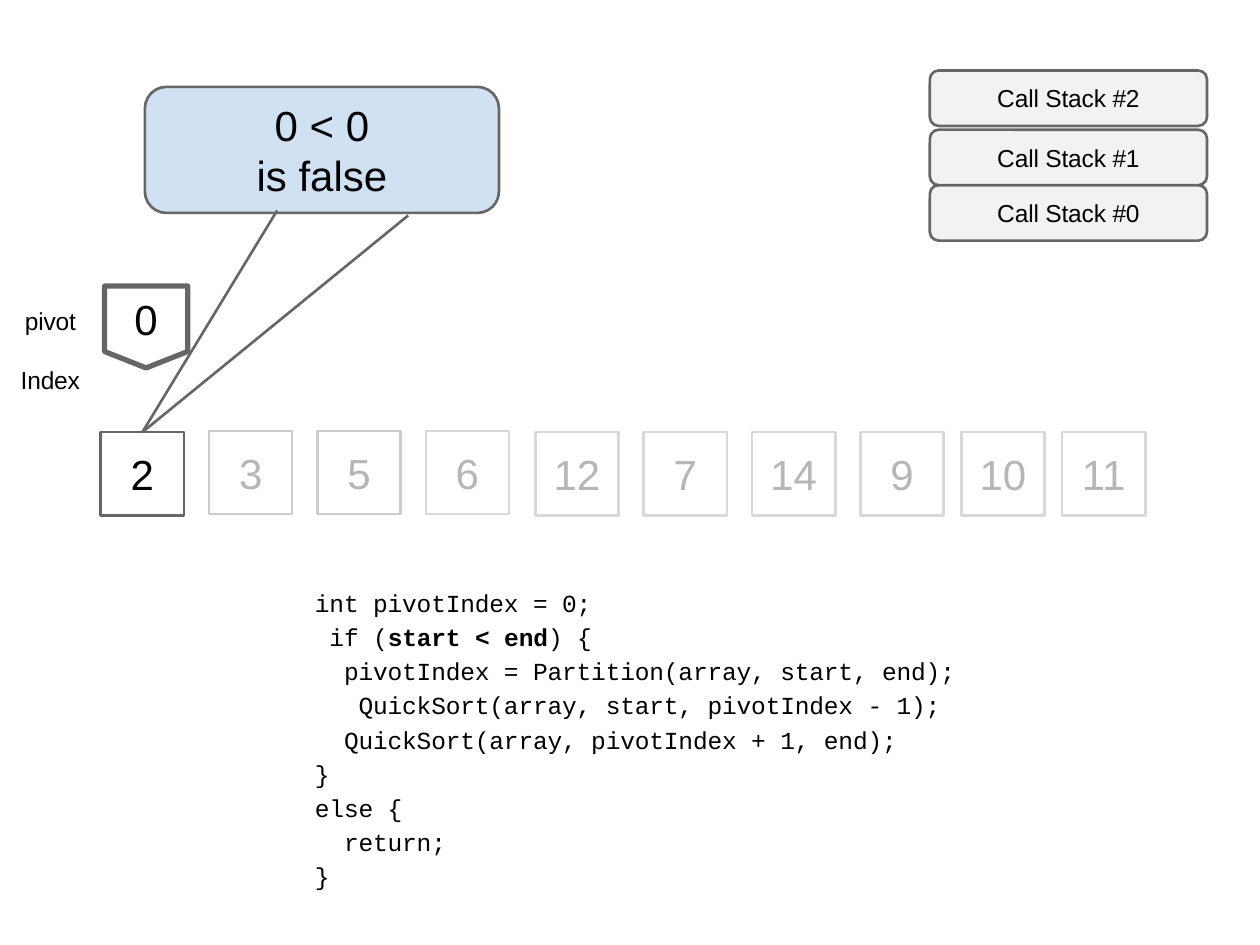
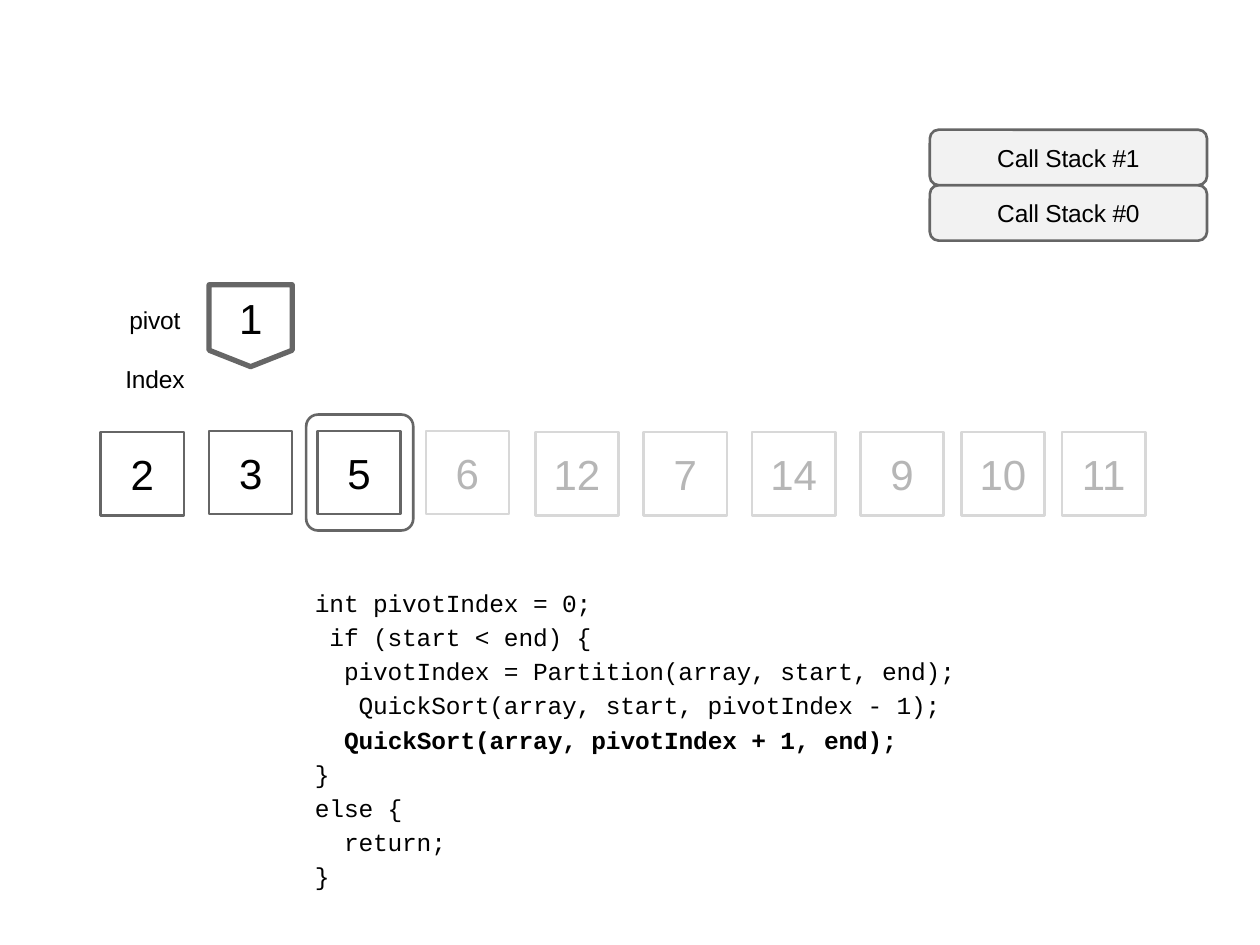
"""Build two slides that step through a recursive quicksort."""
from dataclasses import dataclass

from lxml.etree import SubElement
from pptx import Presentation
from pptx.dml.color import RGBColor
from pptx.enum.shapes import MSO_CONNECTOR, MSO_SHAPE
from pptx.enum.text import MSO_ANCHOR, PP_ALIGN
from pptx.oxml.ns import qn
from pptx.util import Pt

PX = 9144
COLORS = {
    "ink": "000000", "edge": "666666", "muted": "B6B6B6", "soft": "CCCCCC",
    "faint": "D8D8D8", "stack": "F2F2F2", "callout": "CFE1F2",
}
VALUES = [2, 3, 5, 6, 12, 7, 14, 9, 10, 11]
CELL = 66
STACK_TOPS = [147, 103, 56]
CODE = """int pivotIndex = 0;
 if (start < end) {
  pivotIndex = Partition(array, start, end);
   QuickSort(array, start, pivotIndex - 1);
  QuickSort(array, pivotIndex + 1, end);
}
else {
  return;
}"""


@dataclass
class Box:
    x: int
    y: int
    w: int
    h: int

    def emu(self) -> list[int]:
        return [v * PX for v in (self.x, self.y, self.w, self.h)]


@dataclass
class Step:
    active: int
    calls: int
    pivot: int
    pivot_x: int
    pivot_y: int
    bold: str
    callout: str = ""
    frame: Box | None = None


STEPS = [
    Step(1, 3, 0, 83, 227, "start < end", callout="0 < 0\nis false"),
    Step(3, 2, 1, 166, 226, "QuickSort(array, pivotIndex + 1, end);",
         frame=Box(243, 329, 85, 92)),
]


def rgb(name: str) -> RGBColor:
    return RGBColor.from_string(COLORS[name])


def write(tf, text: str, size=14, color="ink", font="Arial", bold="",
          align=PP_ALIGN.CENTER, anchor=MSO_ANCHOR.MIDDLE, leading=None,
          gap=0, spacing=0) -> None:
    tf.margin_left = tf.margin_right = tf.margin_top = tf.margin_bottom = 0
    tf.word_wrap = True
    tf.vertical_anchor = anchor
    for i, line in enumerate(text.split("\n")):
        p = tf.add_paragraph() if i else tf.paragraphs[0]
        p.alignment = align
        if leading:
            p.line_spacing = Pt(leading)
        if i and gap:
            p.space_before = Pt(gap)
        parts = line.partition(bold) if bold else (line,)
        for part in filter(None, parts):
            r = p.add_run()
            r.text = part
            r.font.size = Pt(size)
            r.font.name = font
            r.font.bold = part == bold
            r.font.color.rgb = rgb(color)
            if spacing:
                r.font._element.set("spc", str(spacing))


def add_box(s, box: Box, kind=MSO_SHAPE.RECTANGLE, fill=None, line="edge",
            weight=1.5, radius=None, text="", **fmt):
    sp = s.shapes.add_shape(kind, *box.emu())
    sp.shadow.inherit = False
    if fill:
        sp.fill.solid()
        sp.fill.fore_color.rgb = rgb(fill)
    else:
        sp.fill.background()
    sp.line.color.rgb = rgb(line)
    sp.line.width = Pt(weight)
    if radius is not None:
        sp.adjustments[0] = radius
    if text:
        write(sp.text_frame, text, **fmt)
    return sp


def add_text(s, box: Box, text: str, **fmt) -> None:
    sp = s.shapes.add_textbox(*box.emu())
    write(sp.text_frame, text, anchor=MSO_ANCHOR.TOP, **fmt)


def add_array(s, active: int) -> list:
    cells = []
    for i, value in enumerate(VALUES):
        x = round(80 + min(i, 7) * 603 / 7) + 80 * max(i - 7, 0)
        y = 342 if i in (1, 2, 3) else 343
        on = i < active
        line = "edge" if on else "soft" if i < 3 else "faint"
        cells.append(add_box(s, Box(x, y, CELL, CELL), line=line, text=str(value),
                             size=24, color="ink" if on else "muted"))
    return cells


def add_stack(s, calls: int) -> None:
    for n, top in enumerate(STACK_TOPS[:calls]):
        add_box(s, Box(738, top, 220, 44), MSO_SHAPE.ROUNDED_RECTANGLE, fill="stack",
                radius=0.16, text=f"Call Stack #{n}", spacing=-10)


def add_pivot(s, step: Step) -> None:
    x, y = step.pivot_x, step.pivot_y
    add_box(s, Box(x, y, CELL, 65), MSO_SHAPE.FLOWCHART_OFFPAGE_CONNECTOR,
            weight=3, text=str(step.pivot), size=24)
    add_text(s, Box(x - 73, y + 16, 60, 68), "pivot\nIndex", gap=16.7, spacing=-10)


def add_callout(s, text: str, cell) -> None:
    add_box(s, Box(115, 69, 281, 100), MSO_SHAPE.ROUNDED_RECTANGLE, fill="callout",
            radius=0.17, text=text, size=24, leading=28.6)
    for x, y in ((220, 167), (324, 171)):
        c = s.shapes.add_connector(MSO_CONNECTOR.STRAIGHT, x * PX, y * PX, 113 * PX, 343 * PX)
        c.end_connect(cell, 0)
        c.line.color.rgb = rgb("edge")
        c.line.width = Pt(1.5)
        SubElement(c._element.spPr, qn("a:effectLst"))


def add_step(prs, step: Step) -> None:
    s = prs.slides.add_slide(prs.slide_layouts[6])
    cells = add_array(s, step.active)
    add_text(s, Box(250, 463, 560, 245), CODE, font="Courier New", bold=step.bold,
             align=PP_ALIGN.LEFT, leading=19.5, spacing=-10)
    add_stack(s, step.calls)
    add_pivot(s, step)
    if step.callout:
        add_callout(s, step.callout, cells[0])
    if step.frame:
        add_box(s, step.frame, MSO_SHAPE.ROUNDED_RECTANGLE, radius=0.11)


def main() -> None:
    prs = Presentation()
    prs.slide_width, prs.slide_height = 1000 * PX, 750 * PX
    for step in STEPS:
        add_step(prs, step)
    prs.save("out.pptx")


if __name__ == "__main__":
    main()
